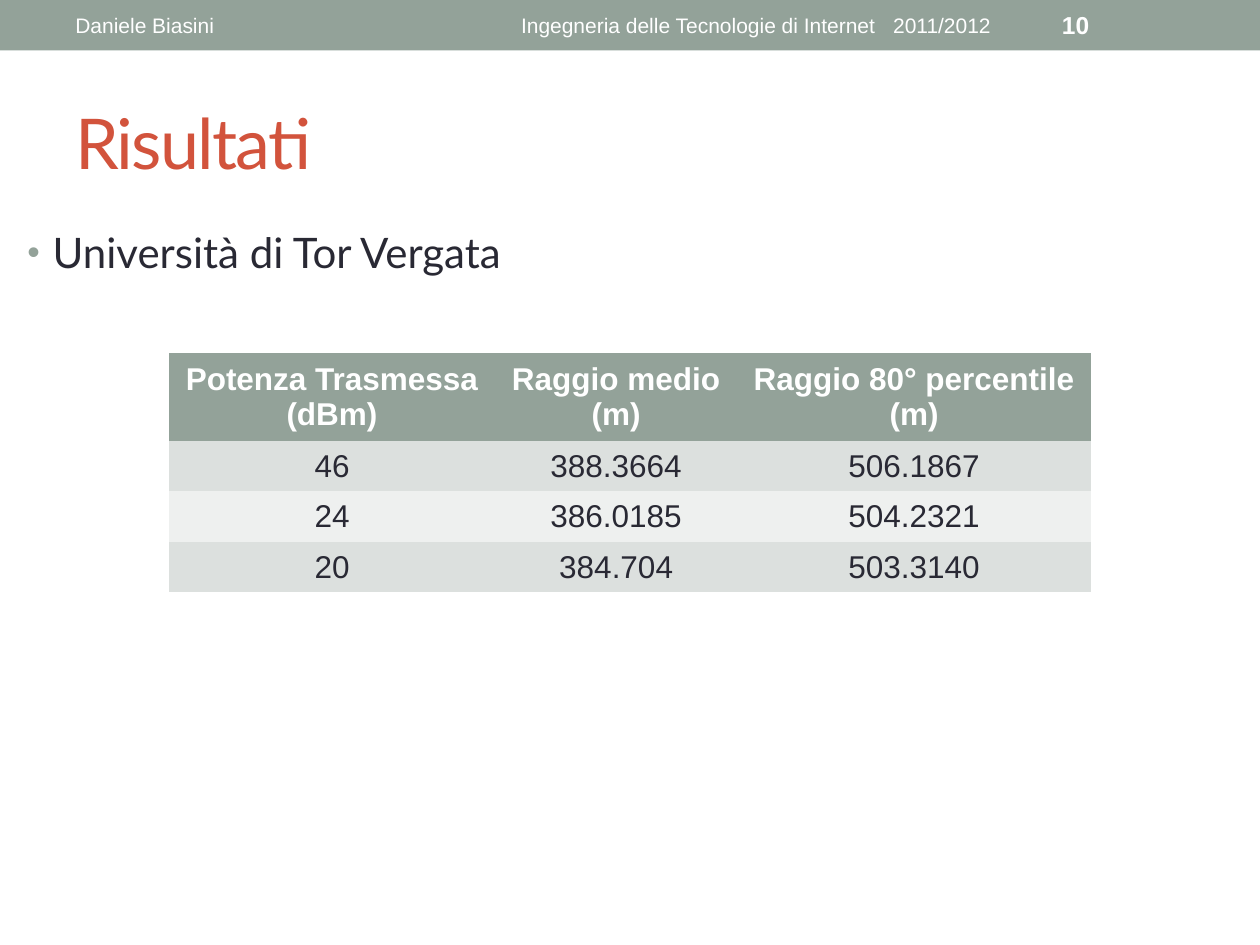
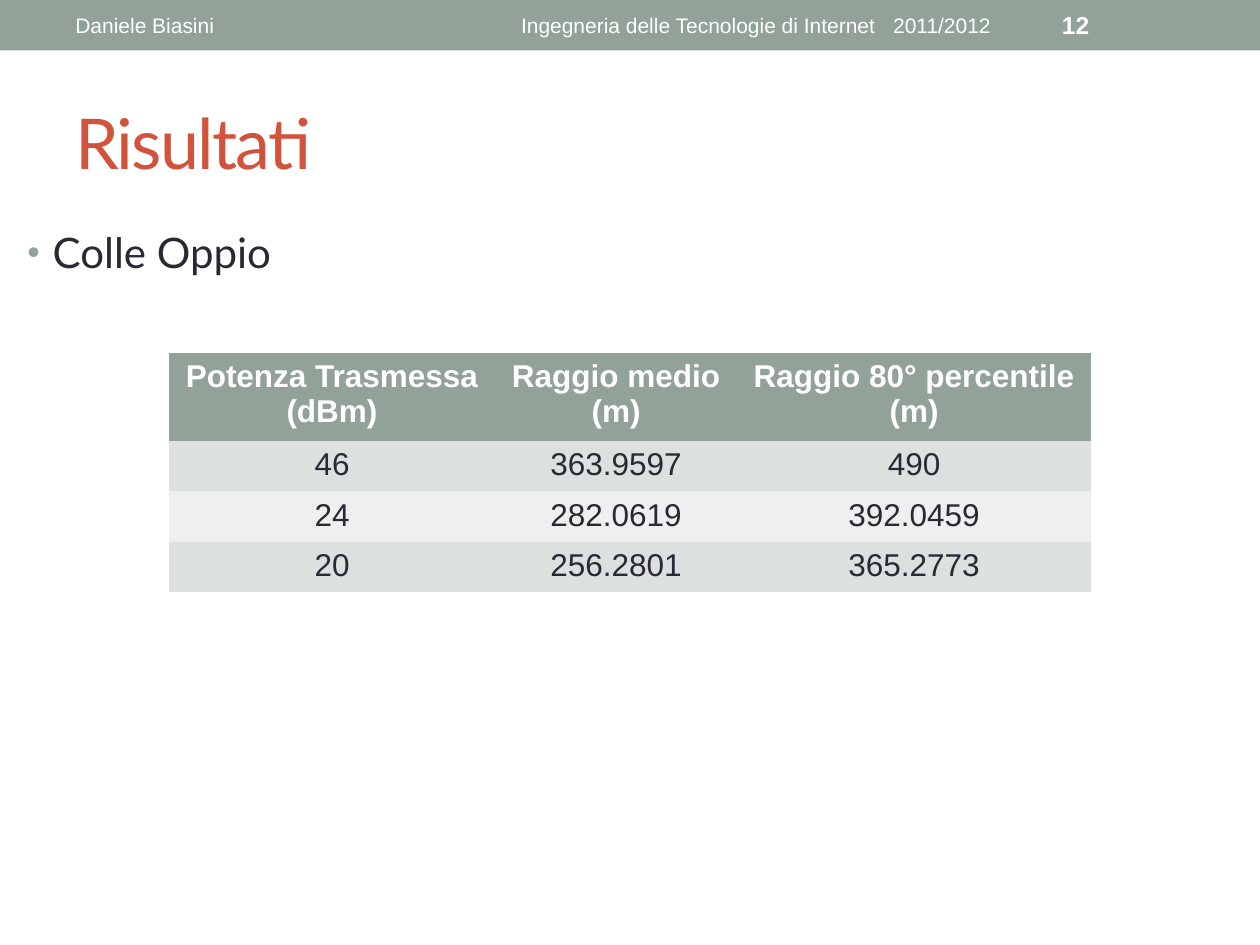
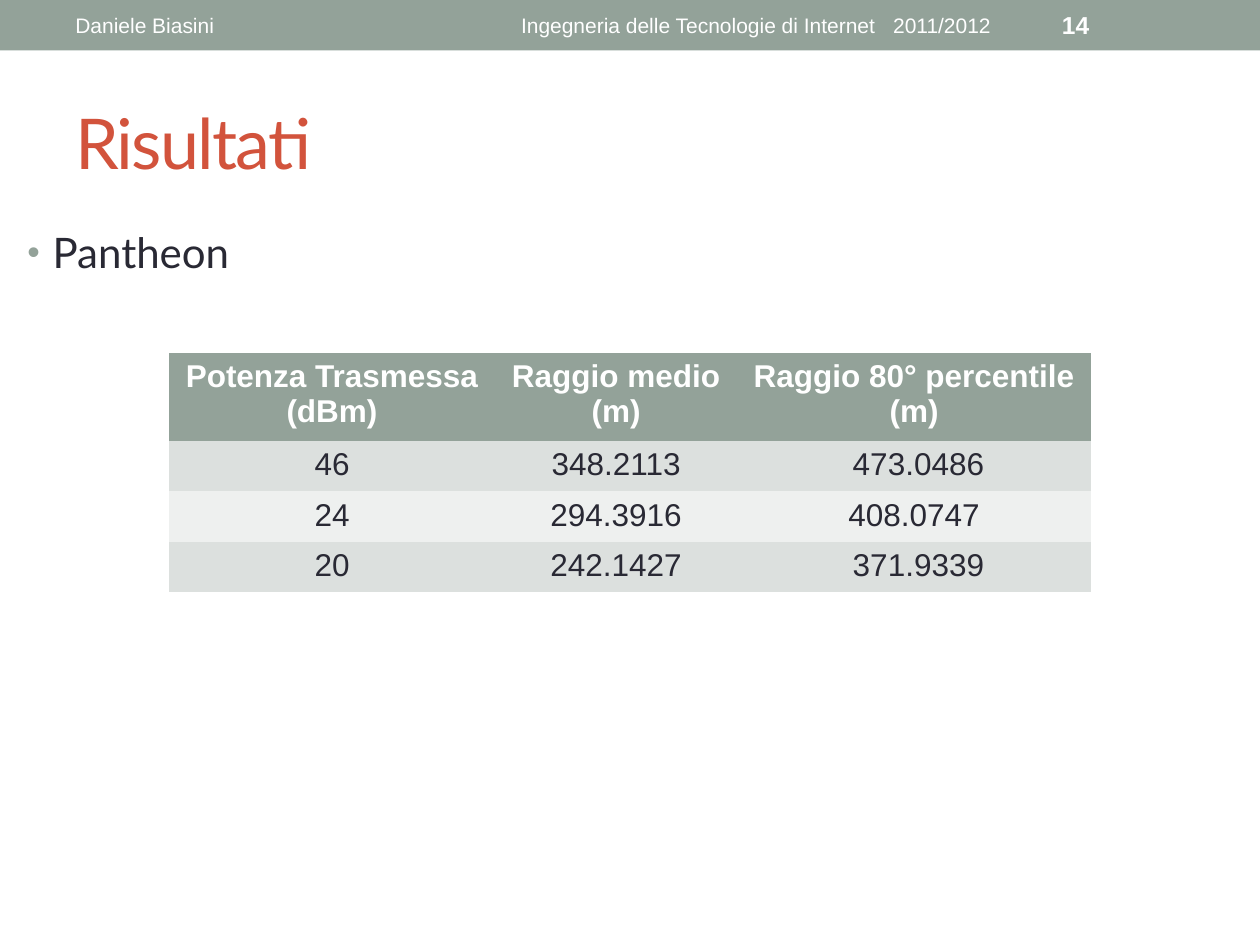
from dataclasses import dataclass

from lxml import etree
from pptx import Presentation
from pptx.dml.color import RGBColor
from pptx.enum.shapes import MSO_SHAPE
from pptx.enum.text import MSO_ANCHOR, PP_ALIGN
from pptx.oxml.ns import qn
from pptx.slide import Slide
from pptx.text.text import _Paragraph as Paragraph
from pptx.util import Inches, Pt

SAGE = RGBColor(0x93, 0xA2, 0x99)
RED = RGBColor(0xD2, 0x53, 0x3C)
INK = RGBColor(0x29, 0x29, 0x34)
WHITE = RGBColor(0xFF, 0xFF, 0xFF)
DARK_STRIPE = RGBColor(0xDC, 0xE0, 0xDE)
LIGHT_STRIPE = RGBColor(0xEE, 0xF0, 0xEF)

RECTANGLE = MSO_SHAPE.RECTANGLE
TOP = MSO_ANCHOR.TOP
MIDDLE = MSO_ANCHOR.MIDDLE
LEFT = PP_ALIGN.LEFT
CENTER = PP_ALIGN.CENTER

NO_TABLE_STYLE = "{2D5ABB26-0587-4C30-8999-92F81FD0307C}"
BLANK_LAYOUT = 6
SLIDE_WIDTH = 10
BAND_HEIGHT = 0.4


@dataclass(frozen=True)
class TextStyle:
    font: str
    size: float
    color: RGBColor
    bold: bool = False
    spacing: float = 0


@dataclass(frozen=True)
class Box:
    left: float
    top: float
    width: float
    height: float


@dataclass(frozen=True)
class Results:
    number: int
    place: str
    rows: tuple[tuple[str, str, str], ...]
    header_height: float = 0.66
    anchor: MSO_ANCHOR = TOP


TITLE_STYLE = TextStyle("Lato", 40, RED, spacing=-1)
PLACE_STYLE = TextStyle("Lato", 24, INK)
BAND_STYLE = TextStyle("Arial", 12, WHITE)
WIDE_GAP_STYLE = TextStyle("Arial", 12, WHITE, spacing=6.67)
NUMBER_STYLE = TextStyle("Arial", 14, WHITE, bold=True)
HEADING_STYLE = TextStyle("Arial", 18, WHITE, bold=True)
VALUE_STYLE = TextStyle("Arial", 18, INK)

TITLE_BOX = Box(0.5, 0.58, 9, 1.08)
PLACE_BOX = Box(0.12, 1.75, 9.76, 5.62)
AUTHOR_BOX = Box(0.5, 0.02, 3.17, 0.36)
COURSE_BOX = Box(3.75, 0.02, 4.5, 0.36)
NUMBER_BOX = Box(8.33, 0.02, 1.17, 0.36)

TABLE_LEFT, TABLE_TOP = 1.34, 2.8
COLUMN_WIDTHS = (2.59, 1.92, 2.81)
VALUE_ROW_HEIGHTS = (0.39, 0.39, 0.38)
HEADINGS = (
    "Potenza Trasmessa\n(dBm)",
    "Raggio medio\n(m)",
    "Raggio 80° percentile\n(m)",
)

RESULTS = (
    Results(
        10,
        "Università di Tor Vergata",
        (
            ("46", "388.3664", "506.1867"),
            ("24", "386.0185", "504.2321"),
            ("20", "384.704", "503.3140"),
        ),
        header_height=0.67,
        anchor=MIDDLE,
    ),
    Results(
        12,
        "Colle Oppio",
        (
            ("46", "363.9597", "490"),
            ("24", "282.0619", "392.0459"),
            ("20", "256.2801", "365.2773"),
        ),
    ),
    Results(
        14,
        "Pantheon",
        (
            ("46", "348.2113", " 473.0486"),
            ("24", "294.3916", "408.0747"),
            ("20", "242.1427", " 371.9339"),
        ),
    ),
)


def format_runs(paragraph: Paragraph, style: TextStyle) -> None:
    for run in paragraph.runs:
        run.font.name = style.font
        run.font.size = Pt(style.size)
        run.font.bold = style.bold
        run.font.color.rgb = style.color
        if style.spacing:
            run._r.get_or_add_rPr().set("spc", str(round(style.spacing * 100)))


def add_text(
    slide: Slide,
    box: Box,
    text: str,
    style: TextStyle,
    alignment: PP_ALIGN = LEFT,
    anchor: MSO_ANCHOR = MIDDLE,
) -> Paragraph:
    shape = slide.shapes.add_textbox(
        Inches(box.left), Inches(box.top), Inches(box.width), Inches(box.height)
    )
    text_frame = shape.text_frame
    text_frame.word_wrap = True
    text_frame.vertical_anchor = anchor
    text_frame.text = text
    paragraph = text_frame.paragraphs[0]
    paragraph.alignment = alignment
    format_runs(paragraph, style)
    return paragraph


def add_bullet(paragraph: Paragraph) -> None:
    properties = paragraph._p.get_or_add_pPr()
    properties.set("marL", str(Inches(0.2)))
    properties.set("indent", str(Inches(-0.2)))
    color = etree.SubElement(properties, qn("a:buClr"))
    etree.SubElement(color, qn("a:srgbClr"), val=str(SAGE))
    etree.SubElement(properties, qn("a:buSzPct"), val="85000")
    etree.SubElement(properties, qn("a:buFont"), typeface="Arial")
    etree.SubElement(properties, qn("a:buChar"), char="•")


def add_band(slide: Slide, number: int) -> None:
    band = slide.shapes.add_shape(
        RECTANGLE, 0, 0, Inches(SLIDE_WIDTH), Inches(BAND_HEIGHT)
    )
    band.shadow.inherit = False
    band.fill.solid()
    band.fill.fore_color.rgb = SAGE
    band.line.fill.background()

    course = add_text(
        slide, COURSE_BOX, "Ingegneria delle Tecnologie di Internet", BAND_STYLE, CENTER
    )
    gap, year = course.add_run(), course.add_run()
    gap.text, year.text = " ", "2011/2012"
    format_runs(course, BAND_STYLE)
    gap._r.get_or_add_rPr().set("spc", str(round(WIDE_GAP_STYLE.spacing * 100)))

    add_text(slide, NUMBER_BOX, str(number), NUMBER_STYLE)
    add_text(slide, AUTHOR_BOX, "Daniele Biasini", BAND_STYLE)


def add_results_table(slide: Slide, results: Results) -> None:
    rows = (HEADINGS, *results.rows)
    heights = (results.header_height, *VALUE_ROW_HEIGHTS)
    frame = slide.shapes.add_table(
        len(rows),
        len(HEADINGS),
        Inches(TABLE_LEFT),
        Inches(TABLE_TOP),
        Inches(sum(COLUMN_WIDTHS)),
        Inches(sum(heights)),
    )
    for style_id in frame.element.iter(qn("a:tableStyleId")):
        style_id.text = NO_TABLE_STYLE
    table = frame.table
    table.horz_banding = False
    for column, width in zip(table.columns, COLUMN_WIDTHS):
        column.width = Inches(width)
    for row_index, (texts, height) in enumerate(zip(rows, heights)):
        table.rows[row_index].height = Inches(height)
        if row_index == 0:
            fill, style = SAGE, HEADING_STYLE
        else:
            fill = DARK_STRIPE if row_index % 2 else LIGHT_STRIPE
            style = VALUE_STYLE
        for cell, text in zip(table.rows[row_index].cells, texts):
            cell.fill.solid()
            cell.fill.fore_color.rgb = fill
            cell.vertical_anchor = results.anchor
            cell.text_frame.text = text
            for paragraph in cell.text_frame.paragraphs:
                paragraph.alignment = CENTER
                format_runs(paragraph, style)


def add_results_slide(slide: Slide, results: Results) -> None:
    add_band(slide, results.number)
    add_text(slide, TITLE_BOX, "Risultati", TITLE_STYLE)
    place = add_text(slide, PLACE_BOX, results.place, PLACE_STYLE, anchor=TOP)
    place.space_before = Pt(4.8)
    add_bullet(place)
    add_results_table(slide, results)


def main() -> None:
    presentation = Presentation()
    presentation.slide_width = Inches(SLIDE_WIDTH)
    presentation.slide_height = Inches(7.5)
    layout = presentation.slide_layouts[BLANK_LAYOUT]
    for results in RESULTS:
        add_results_slide(presentation.slides.add_slide(layout), results)
    presentation.save("out.pptx")


if __name__ == "__main__":
    main()
